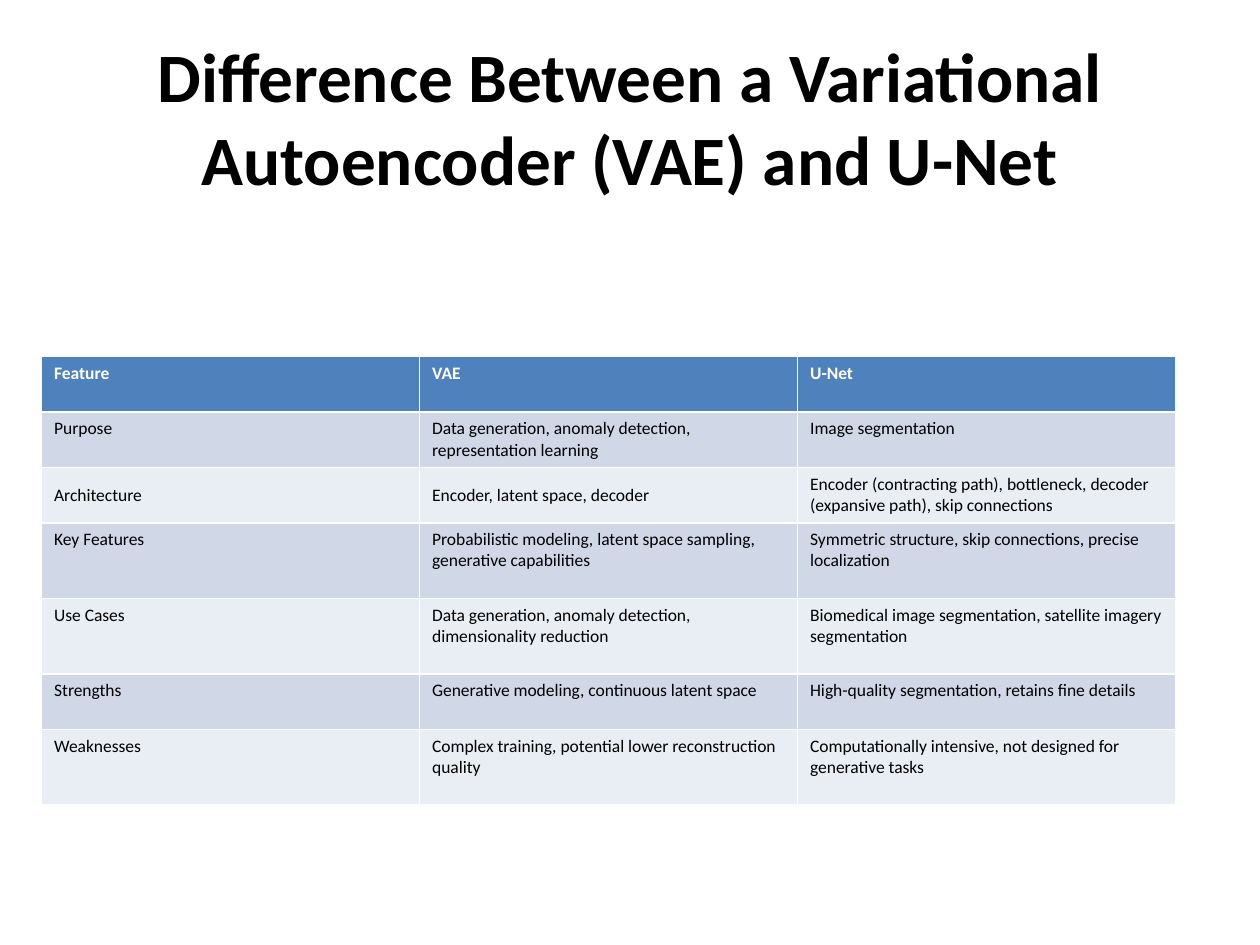
from dataclasses import dataclass

import pptx
import pptx.dml.color
import pptx.enum.text
import pptx.util

Inches = pptx.util.Inches
Anchor = pptx.enum.text.MSO_ANCHOR


@dataclass(frozen=True)
class Theme:
    font: str = "Calibri"
    title_size: float = 39.6
    cell_size: float = 10
    text: str = "000000"
    header_text: str = "FFFFFF"
    header_fill: str = "4F81BD"
    bands: tuple[str, str] = ("D0D8E8", "E9EDF4")


@dataclass(frozen=True)
class Row:
    cells: tuple[str, str, str]
    height: float = 0.44
    centred_columns: tuple[int, ...] = ()


THEME = Theme()
WIDTH, HEIGHT = 10, 7.5
TALL = 0.6
TITLE = "Difference Between a Variational Autoencoder (VAE) and U-Net"
ROWS = [
    Row(("Feature", "VAE", "U-Net")),
    Row(("Purpose",
         "Data generation, anomaly detection, representation learning",
         "Image segmentation")),
    Row(("Architecture",
         "Encoder, latent space, decoder",
         "Encoder (contracting path), bottleneck, decoder (expansive path), skip connections"),
        centred_columns=(0, 1)),
    Row(("Key Features",
         "Probabilistic modeling, latent space sampling, generative capabilities",
         "Symmetric structure, skip connections, precise localization"), TALL),
    Row(("Use Cases",
         "Data generation, anomaly detection, dimensionality reduction",
         "Biomedical image segmentation, satellite imagery segmentation"), TALL),
    Row(("Strengths",
         "Generative modeling, continuous latent space",
         "High-quality segmentation, retains fine details")),
    Row(("Weaknesses",
         "Complex training, potential lower reconstruction quality",
         "Computationally intensive, not designed for generative tasks"), TALL),
]


def rgb(color: str) -> pptx.dml.color.RGBColor:
    return pptx.dml.color.RGBColor.from_string(color)


def write(tf, text: str, *, size: float, color: str, bold: bool = False,
          align=pptx.enum.text.PP_ALIGN.LEFT) -> None:
    p = tf.paragraphs[0]
    p.alignment = align
    r = p.add_run()
    r.text = text
    r.font.name = THEME.font
    r.font.size = pptx.util.Pt(size)
    r.font.bold = bold
    r.font.color.rgb = rgb(color)


def add_title(slide) -> None:
    sp = slide.shapes.title
    sp.left, sp.top = Inches(0.05 * WIDTH), Inches(0.04 * HEIGHT)
    sp.width, sp.height = Inches(0.9 * WIDTH), Inches(HEIGHT / 6)
    tf = sp.text_frame
    tf.word_wrap = True
    tf.auto_size = pptx.enum.text.MSO_AUTO_SIZE.NONE
    tf.vertical_anchor = Anchor.MIDDLE
    write(tf, TITLE, size=THEME.title_size, color=THEME.text, bold=True,
          align=pptx.enum.text.PP_ALIGN.CENTER)


def add_comparison(slide, rows: list[Row]) -> None:
    height = sum(row.height for row in rows)
    table = slide.shapes.add_table(
        len(rows), len(rows[0].cells), Inches(0.33), Inches(2.83),
        Inches(0.9 * WIDTH), Inches(height)).table
    for i, row in enumerate(rows):
        table.rows[i].height = Inches(row.height)
        header = i == 0
        for j, text in enumerate(row.cells):
            cell = table.cell(i, j)
            cell.fill.solid()
            cell.fill.fore_color.rgb = rgb(
                THEME.header_fill if header else THEME.bands[(i - 1) % 2])
            cell.vertical_anchor = (
                Anchor.MIDDLE if j in row.centred_columns else Anchor.TOP)
            write(cell.text_frame, text, size=THEME.cell_size, bold=header,
                  color=THEME.header_text if header else THEME.text)


def main() -> None:
    prs = pptx.Presentation()
    prs.slide_width, prs.slide_height = Inches(WIDTH), Inches(HEIGHT)
    slide = prs.slides.add_slide(prs.slide_layouts.get_by_name("Title Only"))
    add_title(slide)
    add_comparison(slide, ROWS)
    prs.save("out.pptx")


if __name__ == "__main__":
    main()
